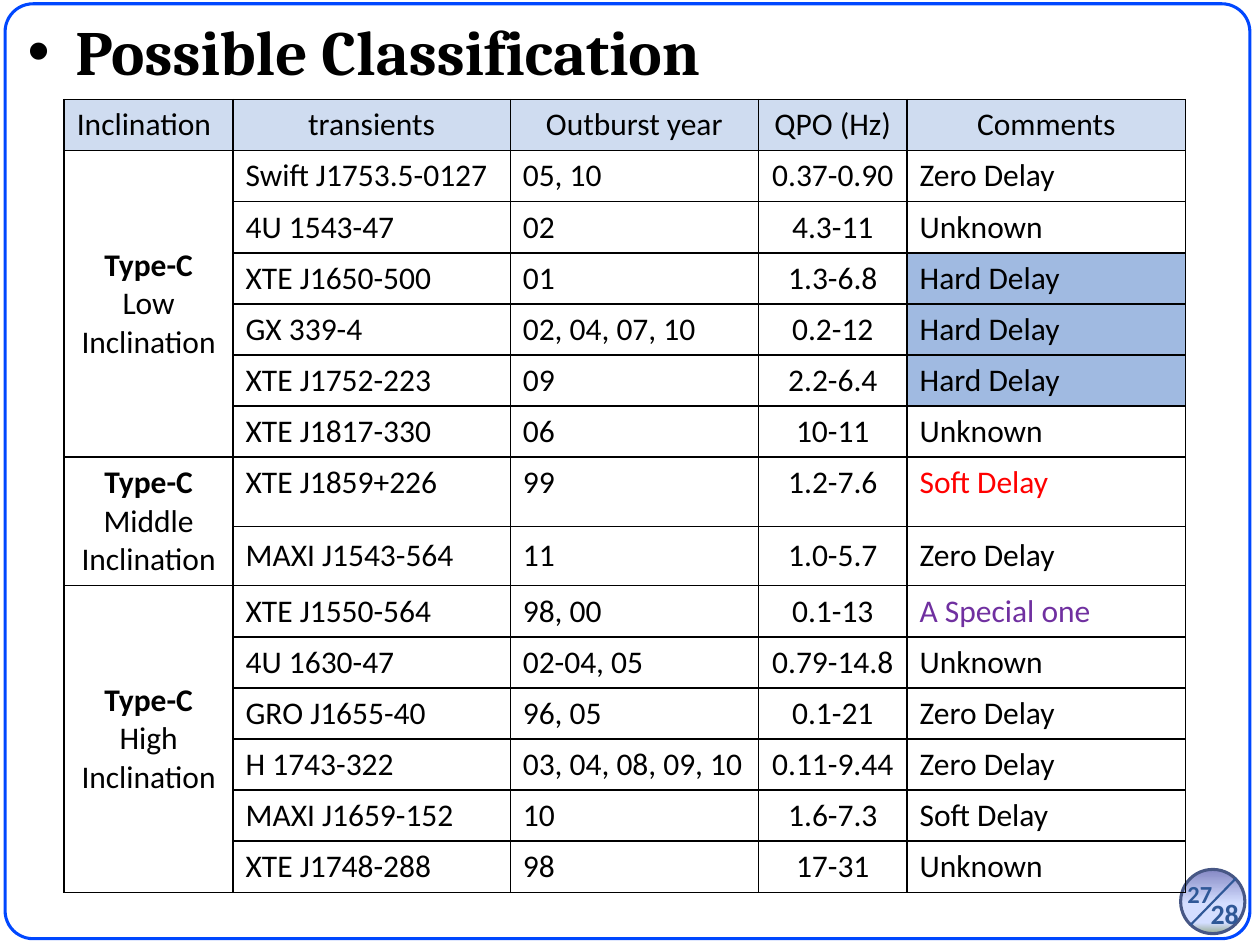
"""Build a slide with a table of possible classifications of transients."""
import pptx
import pptx.dml.color
import pptx.enum.shapes
import pptx.enum.text
import pptx.oxml
import pptx.oxml.ns
import pptx.util
from pptx.util import Inches

BLACK, NAVY = "000000", "2F5897"
HEADER_FILL, HARD_FILL = "CFDCF0", "A0BAE1"
NAMESPACE = 'xmlns:a="http://schemas.openxmlformats.org/drawingml/2006/main"'
LEFT = pptx.enum.text.PP_ALIGN.LEFT
CENTER = pptx.enum.text.PP_ALIGN.CENTER
RIGHT = pptx.enum.text.PP_ALIGN.RIGHT
TOP = pptx.enum.text.MSO_ANCHOR.TOP
MIDDLE = pptx.enum.text.MSO_ANCHOR.MIDDLE

COLUMN_WIDTHS = [1.34, 2.2, 1.97, 1.18, 2.21]
ROW_HEIGHT = 0.4
SPECIAL_HEIGHTS = {7: 0.55, 8: 0.47}
HEADERS = ["Inclination", "transients", "Outburst year", "QPO (Hz)", "Comments"]
GROUPS = [
    ("Low", [
        ("Swift J1753.5-0127", "05, 10", "0.37-0.90", "Zero Delay"),
        ("4U 1543-47", "02", "4.3-11", "Unknown"),
        ("XTE J1650-500", "01", "1.3-6.8", "Hard Delay"),
        ("GX 339-4", "02, 04, 07, 10", "0.2-12", "Hard Delay"),
        ("XTE J1752-223", "09", "2.2-6.4", "Hard Delay"),
        ("XTE J1817-330", "06", "10-11", "Unknown"),
    ]),
    ("Middle", [
        ("XTE J1859+226", "99", "1.2-7.6", "Soft Delay"),
        ("MAXI J1543-564", "11", "1.0-5.7", "Zero Delay"),
    ]),
    ("High", [
        ("XTE J1550-564", "98, 00", "0.1-13", "A Special one"),
        ("4U 1630-47", "02-04, 05", "0.79-14.8", "Unknown"),
        ("GRO J1655-40", "96, 05", "0.1-21", "Zero Delay"),
        ("H 1743-322", "03, 04, 08, 09, 10", "0.11-9.44", "Zero Delay"),
        ("MAXI J1659-152", "10", "1.6-7.3", "Soft Delay"),
        ("XTE J1748-288", "98", "17-31", "Unknown"),
    ]),
]
COMMENT_COLORS = {(7, "Soft Delay"): "FF0000", (9, "A Special one"): "7030A0"}


def rgb(value):
    """Return the colour for a hex string."""
    return pptx.dml.color.RGBColor.from_string(value)


def add_run(paragraph, text, size, color=BLACK, bold=False, font="Calibri"):
    """Add one formatted run to a paragraph."""
    run = paragraph.add_run()
    run.text = text
    run.font.size = pptx.util.Pt(size)
    run.font.name = font
    run.font.bold = bold
    run.font.color.rgb = rgb(color)


def style_line(shape, color, width):
    """Set the line of a shape or connector."""
    shape.line.color.rgb = rgb(color)
    shape.line.width = pptx.util.Pt(width)


def add_frame(slide):
    """Add the rounded outline around the slide."""
    frame = slide.shapes.add_shape(
        pptx.enum.shapes.MSO_SHAPE.ROUNDED_RECTANGLE,
        Inches(0.04), Inches(0.03), Inches(9.88), Inches(7.42))
    frame.adjustments[0] = 0.03
    frame.shadow.inherit = False
    frame.fill.background()
    style_line(frame, "0047FF", 1.75)


def add_page_badge(slide):
    """Add the gradient disc and its diagonal line."""
    disc = slide.shapes.add_shape(
        pptx.enum.shapes.MSO_SHAPE.OVAL,
        Inches(9.37), Inches(6.9), Inches(0.51), Inches(0.51))
    disc.shadow.inherit = False
    disc.fill.gradient()
    disc.fill.gradient_angle = 270
    stops = disc._element.spPr.find(".//" + pptx.oxml.ns.qn("a:gsLst"))
    for stop in list(stops):
        stops.remove(stop)
    for position, color in [(0, "8488C4"), (53, "D4DEFF"), (83, "D4DEFF"), (100, "96AB94")]:
        stops.append(pptx.oxml.parse_xml(
            f'<a:gs {NAMESPACE} pos="{position * 1000}"><a:srgbClr val="{color}"/></a:gs>'))
    style_line(disc, "475785", 1.75)
    diagonal = slide.shapes.add_connector(
        pptx.enum.shapes.MSO_CONNECTOR.STRAIGHT,
        Inches(9.81), Inches(6.97), Inches(9.45), Inches(7.34))
    style_line(diagonal, NAVY, 1.25)
    diagonal._element.spPr.append(pptx.oxml.parse_xml(f"<a:effectLst {NAMESPACE}/>"))


def add_text_box(slide, left, top, width, height, anchor):
    """Add a wrapping text box and return its first paragraph."""
    box = slide.shapes.add_textbox(Inches(left), Inches(top), Inches(width), Inches(height))
    box.text_frame.word_wrap = True
    box.text_frame.vertical_anchor = anchor
    return box.text_frame.paragraphs[0]


def add_title(slide):
    """Add the bulleted title."""
    paragraph = add_text_box(slide, 0.12, 0.05, 9.61, 0.71, TOP)
    properties = paragraph._p.get_or_add_pPr()
    properties.set("marL", str(Inches(0.38)))
    properties.set("indent", str(-Inches(0.38)))
    properties.append(pptx.oxml.parse_xml(f'<a:buFont {NAMESPACE} typeface="Arial"/>'))
    properties.append(pptx.oxml.parse_xml(f'<a:buChar {NAMESPACE} char="•"/>'))
    add_run(paragraph, "Possible Classification", 36, bold=True, font="Cambria")


def add_page_number(slide, text, size, left, top, width, alignment):
    """Add one number of the page badge."""
    paragraph = add_text_box(slide, left, top, width, 0.4, MIDDLE)
    paragraph.alignment = alignment
    add_run(paragraph, text, size, NAVY, bold=True)


def style_cell(cell, fill=None):
    """Give a cell its fill and thin black borders."""
    if fill:
        cell.fill.solid()
        cell.fill.fore_color.rgb = rgb(fill)
    else:
        cell.fill.background()
    properties = cell._tc.get_or_add_tcPr()
    for index, side in enumerate(["lnL", "lnR", "lnT", "lnB"]):
        properties.insert(index, pptx.oxml.parse_xml(
            f'<a:{side} {NAMESPACE} w="12700"><a:solidFill><a:srgbClr val="{BLACK}"/>'
            f'</a:solidFill></a:{side}>'))


def write_cell(cell, lines, alignment=LEFT, anchor=TOP, color=BLACK, bold_first=False):
    """Write each line as a paragraph of the cell."""
    cell.vertical_anchor = anchor
    frame = cell.text_frame
    for index, line in enumerate(lines):
        paragraph = frame.add_paragraph() if index else frame.paragraphs[0]
        paragraph.alignment = alignment
        add_run(paragraph, line, 18, color, bold_first and index == 0)


def write_transient(table, row, values):
    """Fill the columns of one transient."""
    anchor = MIDDLE if row == 8 else TOP
    for column, value in enumerate(values, 1):
        cell = table.cell(row, column)
        style_cell(cell, HARD_FILL if value == "Hard Delay" else None)
        write_cell(cell, [value], CENTER if column == 3 else LEFT, anchor,
                   COMMENT_COLORS.get((row, value), BLACK))


def add_classification_table(slide):
    """Add the table of transients grouped by inclination."""
    row_count = 1 + sum(len(transients) for _, transients in GROUPS)
    heights = [SPECIAL_HEIGHTS.get(row, ROW_HEIGHT) for row in range(row_count)]
    table = slide.shapes.add_table(
        row_count, len(HEADERS), Inches(0.51), Inches(0.79),
        Inches(sum(COLUMN_WIDTHS)), Inches(sum(heights))).table
    for column, width in zip(table.columns, COLUMN_WIDTHS):
        column.width = Inches(width)
    for row, height in zip(table.rows, heights):
        row.height = Inches(height)
    for column, header in enumerate(HEADERS):
        cell = table.cell(0, column)
        style_cell(cell, HEADER_FILL)
        write_cell(cell, [header], CENTER if column else LEFT, MIDDLE if column else TOP)
    row = 1
    for level, transients in GROUPS:
        first, last = row, row + len(transients) - 1
        for values in transients:
            style_cell(table.cell(row, 0))
            write_transient(table, row, values)
            row += 1
        table.cell(first, 0).merge(table.cell(last, 0))
        write_cell(table.cell(first, 0), ["Type-C", level, "Inclination"],
                   CENTER, MIDDLE, bold_first=True)


def main():
    """Build and save the presentation."""
    presentation = pptx.Presentation()
    presentation.slide_width, presentation.slide_height = Inches(10), Inches(7.5)
    slide = presentation.slides.add_slide(presentation.slide_layouts[6])
    add_page_badge(slide)
    add_frame(slide)
    add_classification_table(slide)
    add_title(slide)
    add_page_number(slide, "28", 16, 9.48, 7.05, 0.48, CENTER)
    add_page_number(slide, "27", 14, 9.28, 6.89, 0.44, RIGHT)
    presentation.save("out.pptx")


if __name__ == "__main__":
    main()
